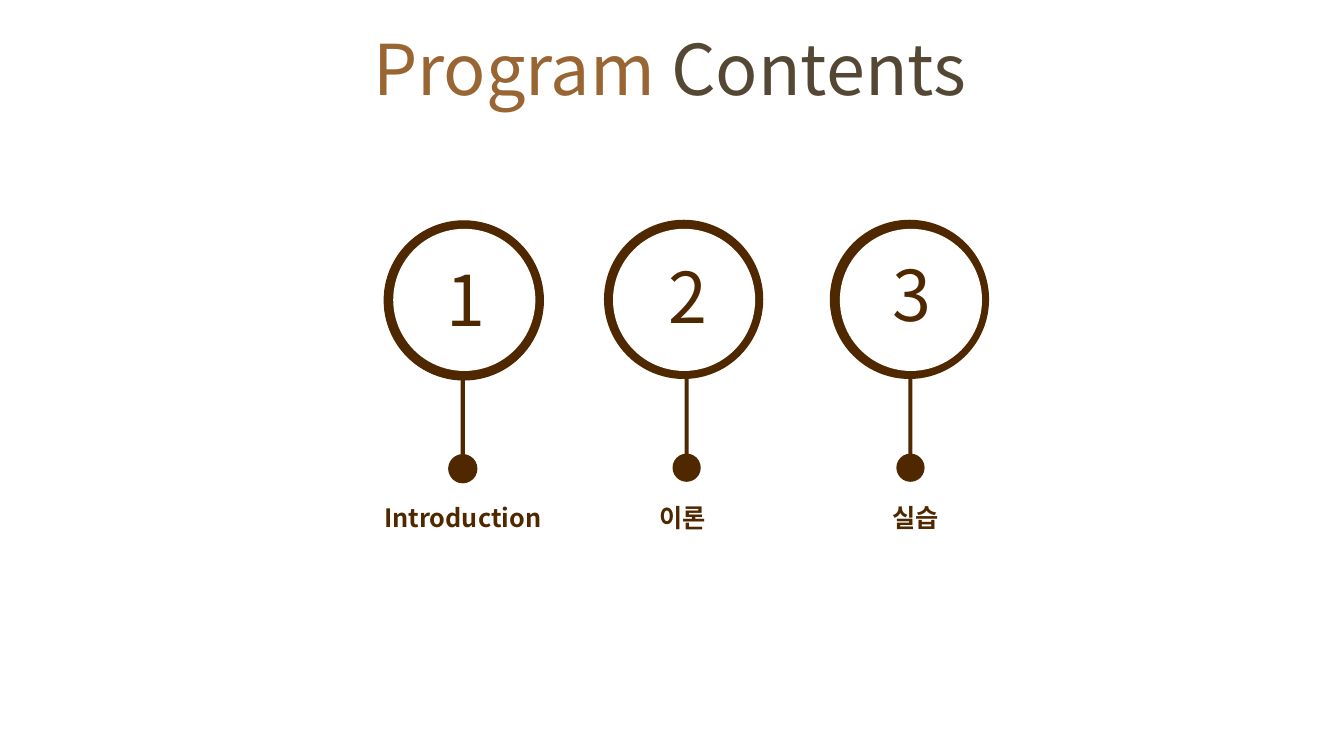
from dataclasses import dataclass
from pptx import Presentation
from pptx.dml.color import RGBColor as Rgb
from pptx.enum.shapes import MSO_SHAPE as Kind
from pptx.enum.text import MSO_ANCHOR as Anchor, MSO_AUTO_SIZE as Fit, PP_ALIGN as Align
from pptx.oxml.ns import qn
from pptx.util import Inches, Pt

TITLE = [("Program ", "tan"), ("Contents", "olive")]
STEPS = [
    {"mark": "1", "label": "Introduction", "ring": (0.01, 2.98), "stem": 4.14,
     "dot": 4.65, "num": (0.02, 2.97), "text": (0, 5.31), "edge": True},
    {"mark": "2", "label": "이론", "ring": (-0.03, 2.97), "stem": 4.16,
     "dot": 4.64, "num": (0, 2.94), "text": (-0.04, 5.31), "edge": False},
    {"mark": "3", "label": "실습", "ring": (-0.01, 2.97), "stem": 4.13,
     "dot": 4.64, "num": (0, 2.92), "text": (0.05, 5.31), "edge": False},
]


@dataclass(frozen=True)
class Theme:
    font: str = "Noto Sans CJK KR"
    tan: str = "996633"
    olive: str = "544834"
    brown: str = "502800"
    white: str = "FFFFFF"
    big: int = 50
    small: int = 18


LOOK = Theme()
WIDE, HIGH = 13.33, 7.5
FIRST, PITCH = 4.59, 2.22
DISC, HOLE, DOT = 1.58, 1.41, 0.28
STEM = (0.04, 1.06)
NUM, LABEL = (0.56, 0.94), (2.24, 0.81)


def box(mid, size):
    (x, y), (w, h) = mid, size
    return [Inches(round(v, 2)) for v in (x - w / 2, y - h / 2, w, h)]


def draw(slide, kind, mid, size, tone, edge=False):
    part = slide.shapes.add_shape(kind, *box(mid, size))
    part.shadow.inherit = False
    part.fill.solid()
    part.fill.fore_color.rgb = Rgb.from_string(tone)
    if edge:
        part.line.color.rgb = Rgb.from_string(tone)
        part.line.width = Pt(0.75)
    else:
        part.line.fill.background()
    return part


def write(part, runs, size, align, bold=False, space=None):
    frame = part.text_frame
    frame.word_wrap = True
    frame.auto_size = Fit.NONE
    frame.vertical_anchor = Anchor.TOP
    para = frame.paragraphs[0]
    para.alignment = align
    if space:
        para.line_spacing = space
    for text, tone in runs:
        run = para.add_run()
        run.text = text
        font = run.font
        font.size, font.bold, font.name = Pt(size), bold, LOOK.font
        font.color.rgb = Rgb.from_string(getattr(LOOK, tone))
        east = run._r.get_or_add_rPr().makeelement(qn("a:ea"), {"typeface": LOOK.font})
        run._r.rPr.find(qn("a:latin")).addnext(east)


def step(slide, axis, item):
    def spot(key):
        shift, y = item[key]
        return axis + shift, y

    ring, edge = spot("ring"), item["edge"]
    stem = draw(slide, Kind.ROUNDED_RECTANGLE, (axis, item["stem"]), STEM, LOOK.brown)
    stem.adjustments[0] = 0.5
    draw(slide, Kind.OVAL, ring, (DISC, DISC), LOOK.brown, edge)
    draw(slide, Kind.OVAL, (ring[0] + 0.01, ring[1]), (HOLE, HOLE), LOOK.white)
    draw(slide, Kind.OVAL, (axis, item["dot"]), (DOT, DOT), LOOK.brown, edge)
    num = slide.shapes.add_textbox(*box(spot("num"), NUM))
    write(num, [(item["mark"], "brown")], LOOK.big, Align.CENTER)
    label = slide.shapes.add_textbox(*box(spot("text"), LABEL))
    write(label, [(item["label"], "brown")], LOOK.small, Align.CENTER, True, 1.11)


def main():
    deck = Presentation()
    deck.slide_width, deck.slide_height = Inches(WIDE), Inches(HIGH)
    slide = deck.slides.add_slide(deck.slide_layouts[5])
    head = slide.shapes.title
    head.left, head.top, head.width, head.height = box((WIDE / 2, 0.67), (6.14, 0.94))
    write(head, TITLE, LOOK.big, Align.LEFT)
    for i, item in enumerate(STEPS):
        step(slide, FIRST + i * PITCH, item)
    deck.save("out.pptx")


if __name__ == "__main__":
    main()
